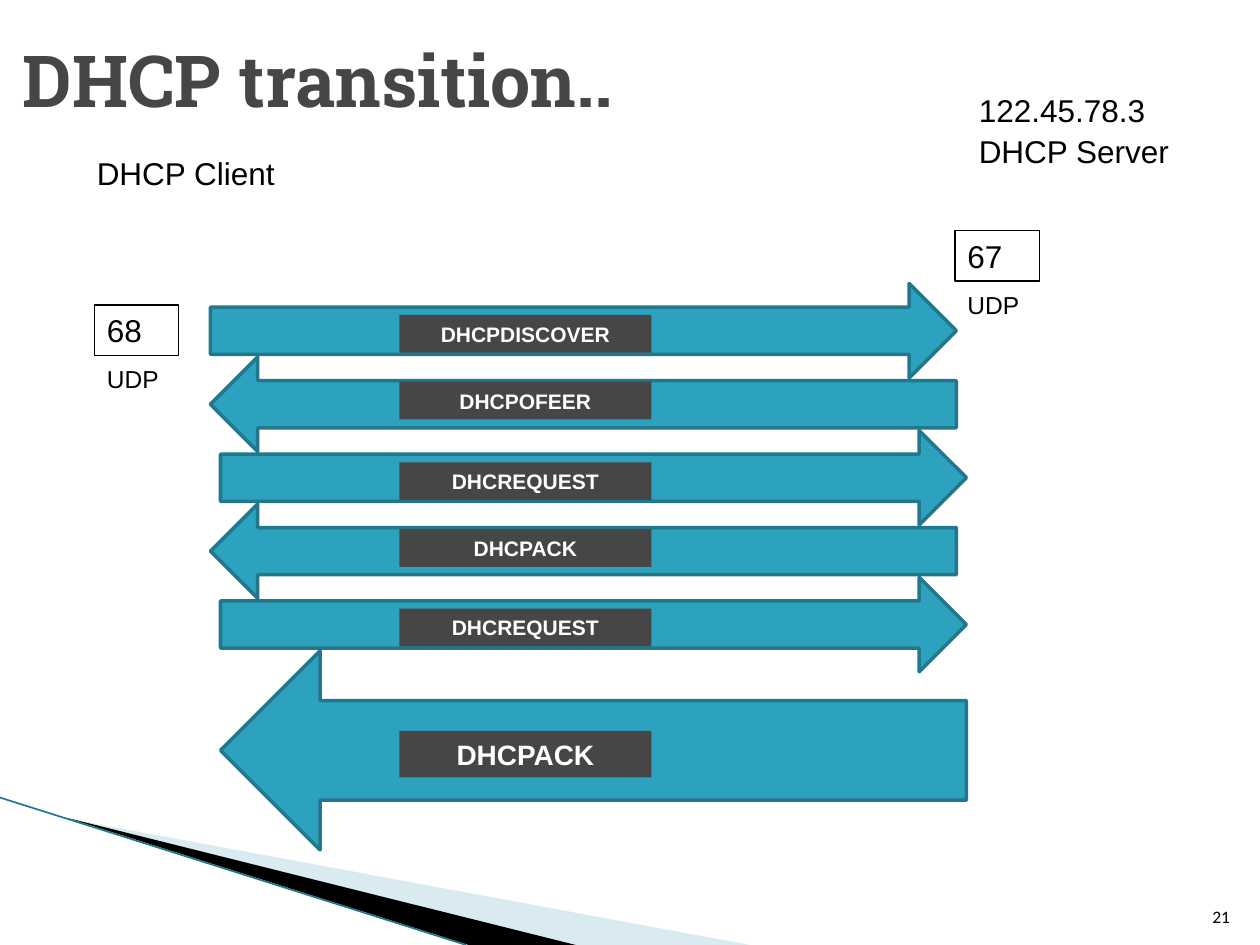
from lxml import etree
from pptx import Presentation
from pptx.dml.color import RGBColor
from pptx.enum.shapes import MSO_CONNECTOR, MSO_SHAPE
from pptx.enum.text import MSO_ANCHOR, PP_ALIGN
from pptx.oxml.ns import qn
from pptx.util import Inches, Pt

COLORS = {
    "teal": "2DA2BF", "teal edge": "21788D", "grey": "464646",
    "pale": "A0CBDC", "black": "000000", "white": "FFFFFF",
}
TITLE = "DHCP transition.."
SLIDE_NUMBER = "21"

# text, left, top, width, height, size
CAPTIONS = [
    ("DHCP Client", 0.67, 1.17, 1.83, 0.4, 18),
    ("122.45.78.3", 7.67, 0.67, 1.67, 0.4, 18),
    ("DHCP Server", 7.67, 1, 1.83, 0.43, 18),
]
# port, left, top
PORTS = [("68", 0.75, 2.42), ("67", 7.58, 1.83)]
# message, points left, arrow left, label top
MESSAGES = [
    ("DHCPDISCOVER", False, 1.67, 2.5),
    ("DHCPOFEER", True, 1.67, 3.03),
    ("DHCREQUEST", False, 1.75, 3.67),
    ("DHCPACK", True, 1.67, 4.2),
    ("DHCREQUEST", False, 1.75, 4.83),
    ("DHCPACK", True, 1.75, 5.8),
]
FIRST_ARROW_TOP, ARROW_STEP, ARROW_WIDTH = 2.25, 0.583, 5.92
# colour, opacity in percent, corners in hundredths of an inch
WEDGES = [
    ("pale", 40, [(55, 650), (595, 750), (456, 750)]),
    ("black", 100, [(53, 649), (457, 750), (372, 750)]),
]


def rgb(name):
    return RGBColor.from_string(COLORS[name])


def inches(*lengths):
    return [Inches(length) for length in lengths]


def write(shape, text, size, color="black", font="Arial", bold=False,
          align=PP_ALIGN.LEFT, anchor=MSO_ANCHOR.TOP):
    frame = shape.text_frame
    frame.word_wrap = True
    frame.vertical_anchor = anchor
    para = frame.paragraphs[0]
    para.text = text
    para.alignment = align
    para.font.name, para.font.size, para.font.bold = font, Pt(size), bold
    para.font.color.rgb = rgb(color)


def paint(shape, fill=None, line=None, width=1):
    shape.shadow.inherit = False
    if fill:
        shape.fill.solid()
        shape.fill.fore_color.rgb = rgb(fill)
    else:
        shape.fill.background()
    if line:
        shape.line.color.rgb = rgb(line)
        shape.line.width = Pt(width)
    else:
        shape.line.fill.background()


def add_corner(shapes):
    """Draw the swoosh at the lower left."""
    for color, opacity, corners in WEDGES:
        builder = shapes.build_freeform(*corners[0], scale=Inches(0.01))
        builder.add_line_segments(corners[1:], close=True)
        wedge = builder.convert_to_shape()
        paint(wedge, color)
        if opacity < 100:
            fill_color = wedge._element.spPr.find(qn("a:solidFill"))[0]
            etree.SubElement(fill_color, qn("a:alpha"), val=str(opacity * 1000))
    edge = shapes.add_connector(MSO_CONNECTOR.STRAIGHT, *inches(0, 6.33, 3.7, 7.5))
    edge.line.color.rgb = rgb("teal edge")
    edge.line.width = Pt(0.95)
    etree.SubElement(edge._element.spPr, qn("a:effectLst"))


def add_port(shapes, port, left, top):
    group = shapes.add_group_shape().shapes
    box = group.add_shape(MSO_SHAPE.RECTANGLE, *inches(left, top, 0.67, 0.4))
    paint(box, line="black", width=0.75)
    write(box, port, 18)
    write(group.add_textbox(*inches(left, top + 0.42, 0.67, 0.34)), "UDP", 14)


def add_message(shapes, row, message, points_left, left, label_top):
    is_last = row == len(MESSAGES) - 1
    arrow_height, label_height, size = (1.58, 0.37, 16) if is_last else (0.75, 0.3, 12)
    group = shapes.add_group_shape().shapes
    top = FIRST_ARROW_TOP + row * ARROW_STEP
    arrow = group.add_shape(MSO_SHAPE.RIGHT_ARROW,
                            *inches(left, top, ARROW_WIDTH, arrow_height))
    arrow.rotation = 180 if points_left else 0
    paint(arrow, "teal", "teal edge", 2)
    label = group.add_shape(MSO_SHAPE.RECTANGLE,
                            *inches(3.17, label_top, 2, label_height))
    paint(label, "grey")
    write(label, message, size, "white", bold=True,
          align=PP_ALIGN.CENTER, anchor=MSO_ANCHOR.MIDDLE)


def main():
    deck = Presentation()
    deck.slide_width, deck.slide_height = inches(10, 7.5)
    page = deck.slides.add_slide(deck.slide_layouts[5])
    shapes = page.shapes

    title = shapes.title
    title.left, title.top, title.width, title.height = inches(0.08, 0, 9, 1.25)
    write(title, TITLE, 41, "grey", "Roboto Slab", True, anchor=MSO_ANCHOR.MIDDLE)

    add_corner(shapes)
    for text, left, top, width, height, size in CAPTIONS:
        write(shapes.add_textbox(*inches(left, top, width, height)), text, size)
    for row, message in enumerate(MESSAGES):
        add_message(shapes, row, *message)
    for port in PORTS:
        add_port(shapes, *port)
    number = shapes.add_textbox(*inches(9.46, 7.01, 0.4, 0.4))
    write(number, SLIDE_NUMBER, 10, font="Calibri",
          align=PP_ALIGN.RIGHT, anchor=MSO_ANCHOR.BOTTOM)
    deck.save("out.pptx")


if __name__ == "__main__":
    main()
